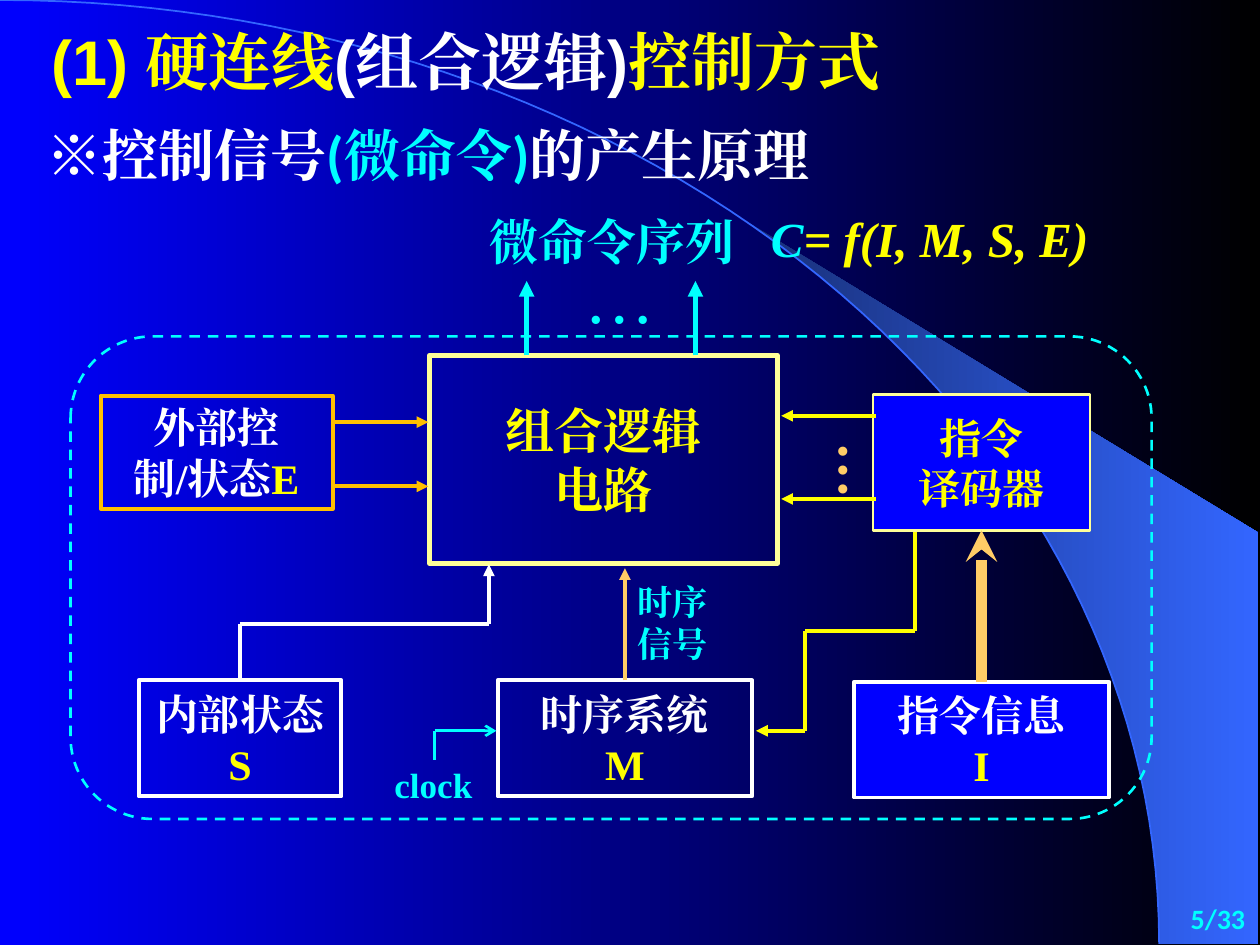
from math import asin, cos, pi, sin

from lxml import etree
from pptx import Presentation
from pptx.dml.color import RGBColor
from pptx.enum.dml import MSO_LINE
from pptx.enum.shapes import MSO_CONNECTOR, MSO_SHAPE
from pptx.enum.text import MSO_ANCHOR, PP_ALIGN
from pptx.oxml.ns import qn
from pptx.util import Inches, Pt

RECTANGLE, ROUNDED = MSO_SHAPE.RECTANGLE, MSO_SHAPE.ROUNDED_RECTANGLE
STRAIGHT, DASH = MSO_CONNECTOR.STRAIGHT, MSO_LINE.DASH
LEFT, CENTER, RIGHT = PP_ALIGN.LEFT, PP_ALIGN.CENTER, PP_ALIGN.RIGHT
TOP, MIDDLE = MSO_ANCHOR.TOP, MSO_ANCHOR.MIDDLE
SIDE_TOP, SIDE_BOTTOM = 0, 2

COLUMNS, ROWS = 100, 75
WIDTH, HEIGHT = Inches(10), Inches(7.5)
SERIF, SANS = "Times New Roman", "Noto Sans CJK SC"
COLORS = {
    "blue": "0000FF", "black": "000000", "navy": "182F76", "azure": "3366FF",
    "cyan": "00FFFF", "yellow": "FFFF00", "cream": "FFFF99", "white": "FFFFFF",
    "amber": "FFC000", "peach": "FFCC66",
}
ARC_WIDTH, ARC_HEIGHT = 92, 74.9


def color(name):
    return RGBColor.from_string(COLORS[name])


def x(column):
    return round(WIDTH * column / COLUMNS)


def y(row):
    return round(HEIGHT * row / ROWS)


def area(left, top, width, height):
    return x(left), y(top), x(width), y(height)


def fill_gradient(fill, start, end):
    fill.gradient()
    fill.gradient_angle = 0
    for stop, name in zip(fill.gradient_stops, (start, end)):
        stop.color.rgb = color(name)


def write_text(shape, paragraphs, size, font=SERIF, align=LEFT, anchor=TOP,
               wrap=True, bold=True, italic=False, spacing=None):
    frame = shape.text_frame
    frame.word_wrap = wrap
    frame.vertical_anchor = anchor
    for index, runs in enumerate(paragraphs):
        paragraph = frame.add_paragraph() if index else frame.paragraphs[0]
        paragraph.alignment = align
        paragraph.line_spacing = spacing
        for text, name, *own_font in runs:
            run = paragraph.add_run()
            run.text = text
            run.font.size = Pt(size)
            run.font.bold = bold
            run.font.italic = italic
            run.font.color.rgb = color(name)
            run.font.name = own_font[0] if own_font else font
            east_asian = etree.SubElement(run.font._element, qn("a:ea"))
            east_asian.set("typeface", SERIF)


def add_label(slide, place, paragraphs, size, **text_format):
    label = slide.shapes.add_textbox(*area(*place))
    write_text(label, paragraphs, size, **text_format)
    return label


def add_vertical_dots(slide, place):
    label = add_label(slide, place, [[("…", "peach")]], 32)
    frame = label.text_frame
    frame.margin_left = frame.margin_right = Inches(0.05)
    frame.margin_top = frame.margin_bottom = Inches(0.1)
    frame._txBody.bodyPr.set("vert", "eaVert")


def add_frame(slide, place, line, weight, fill=None, kind=RECTANGLE):
    shape = slide.shapes.add_shape(kind, *area(*place))
    shape.shadow.inherit = False
    if fill:
        shape.fill.solid()
        shape.fill.fore_color.rgb = color(fill)
    else:
        shape.fill.background()
    shape.line.color.rgb = color(line)
    shape.line.width = Pt(weight)
    return shape


def add_block(slide, place, paragraphs, line, size=24, weight=2.25, fill=None,
              anchor=MIDDLE, wrap=False):
    block = add_frame(slide, place, line, weight, fill)
    write_text(block, paragraphs, size, align=CENTER, anchor=anchor, wrap=wrap)
    return block


def add_route(slide, points, name, weight=2.25, arrow="triangle"):
    segments = []
    for start, end in zip(points, points[1:]):
        segment = slide.shapes.add_connector(
            STRAIGHT, x(start[0]), y(start[1]), x(end[0]), y(end[1]))
        segment.line.color.rgb = color(name)
        segment.line.width = Pt(weight)
        etree.SubElement(segment._element.spPr, qn("a:effectLst"))
        segments.append(segment)
    line = segments[-1].line._get_or_add_ln()
    etree.SubElement(line, qn("a:tailEnd")).set("type", arrow)
    return segments


def arc_points(first_angle, steps=60):
    angles = [first_angle + (pi / 2 - first_angle) * step / steps
              for step in range(steps + 1)]
    return [(x(ARC_WIDTH * sin(angle)), y(ARC_HEIGHT * (1 - cos(angle))))
            for angle in angles]


def add_outline(slide, points, close):
    builder = slide.shapes.build_freeform(*points[0])
    builder.add_line_segments(points[1:], close=close)
    outline = builder.convert_to_shape()
    outline.shadow.inherit = False
    return outline


def add_backdrop(slide):
    fill_gradient(slide.background.fill, "blue", "black")
    edge = arc_points(asin(58.9 / ARC_WIDTH))
    beam = add_outline(
        slide, edge + [(x(99.9), y(74.9)), (x(99.9), y(42.3))], True)
    fill_gradient(beam.fill, "navy", "azure")
    beam.line.fill.background()
    arc = add_outline(slide, arc_points(0), False)
    arc.fill.background()
    arc.line.color.rgb = color("azure")
    arc.line.width = Pt(1)


def add_headings(slide):
    add_label(slide, (3.1, 1.3, 85.5, 7), [[
        ("(1) 硬连线", "yellow"), ("(组合逻辑)", "white"),
        ("控制方式", "yellow")]], 36, font="Arial")
    add_label(slide, (2.7, 9.1, 70.6, 6.4), [[
        ("※", "white", SANS), ("控制信号", "white"),
        ("(微命令)", "cyan", "Calibri"), ("的产生原理", "white")]], 32)
    add_label(slide, (37.7, 16.3, 21.7, 5.7), [[("微命令序列", "cyan")]], 28,
              align=CENTER)
    add_label(slide, (60.2, 16.3, 33.9, 5.5), [[
        ("C", "cyan"), ("= f(I, M, S, E)", "yellow")]], 28, italic=True,
        spacing=Pt(32))


def add_diagram(slide):
    add_block(slide, (34.1, 28.2, 27.6, 16.5),
              [[("组合逻辑", "yellow")], [("电路", "yellow")]], "cream",
              size=28, weight=3)
    decoder = add_block(slide, (69.3, 31.3, 17.2, 10.8),
                        [[("指令", "yellow")], [("译码器", "yellow")]],
                        "cream", weight=1.5, fill="blue")
    add_block(slide, (8, 31.4, 18.4, 9),
              [[("外部控制/状态", "white"), ("E", "yellow")]], "amber",
              anchor=TOP, wrap=True)
    state = add_block(slide, (11, 54, 16.1, 9.2),
                      [[("内部状态", "white", SANS)], [("S", "yellow")]],
                      "white")
    timing = add_block(slide, (39.5, 54, 20.2, 9.2),
                       [[("时序系统", "white")], [("M", "yellow")]], "white")
    instruction = add_block(slide, (67.8, 54.1, 20.2, 9.2),
                            [[("指令信息", "white")], [("I", "yellow")]],
                            "white", fill="blue")

    for column in (41.8, 55.2):
        add_route(slide, [(column, 28.2), (column, 22.3)], "cyan", 3)
    for row in (33, 39.6):
        add_route(slide, [(69.5, row), (62, row)], "yellow")
    for row in (33.5, 38.6):
        add_route(slide, [(26.4, row), (34, row)], "amber")

    state_route = add_route(
        slide, [(19.05, 54), (19.05, 49.5), (38.8, 49.5), (38.8, 44.8)],
        "white")
    state_route[0].begin_connect(state, SIDE_TOP)
    timing_route = add_route(slide, [(49.6, 54), (49.6, 45.1)], "peach")
    timing_route[0].begin_connect(timing, SIDE_TOP)
    instruction_route = add_route(slide, [(77.9, 54.1), (77.9, 42.1)],
                                  "peach", 6, "stealth")
    instruction_route[0].begin_connect(instruction, SIDE_TOP)
    instruction_route[0].end_connect(decoder, SIDE_BOTTOM)
    add_route(slide, [(72.6, 42.2), (72.6, 50.1), (63.9, 50.1), (63.9, 58),
                      (60, 58)], "yellow")
    add_route(slide, [(34.5, 60.3), (34.5, 58), (39.4, 58)], "cyan", 1.5,
              "arrow")

    add_label(slide, (45.4, 19.6, 11.7, 7.7), [[("…", "cyan")]], 40,
              bold=False)
    add_vertical_dots(slide, (64.3, 34.1, 7.3, 5.8))
    add_label(slide, (49.6, 45.6, 8.5, 7.7), [[("时序信号", "cyan")]], 20)
    add_label(slide, (29.8, 60.1, 9.2, 4.4), [[("clock", "cyan")]], 20,
              align=CENTER)
    border = add_frame(slide, (5.6, 26.7, 85.8, 38.3), "cyan", 1.5,
                       kind=ROUNDED)
    border.adjustments[0] = 0.17
    border.line.dash_style = DASH


def main():
    presentation = Presentation()
    presentation.slide_width, presentation.slide_height = WIDTH, HEIGHT
    slide = presentation.slides.add_slide(presentation.slide_layouts[6])
    add_backdrop(slide)
    add_headings(slide)
    add_diagram(slide)
    add_label(slide, (79, 70.9, 20.8, 3.9), [[("5/33", "cyan")]], 16,
              font="Calibri", align=RIGHT, anchor=MIDDLE)
    presentation.save("out.pptx")


if __name__ == "__main__":
    main()
